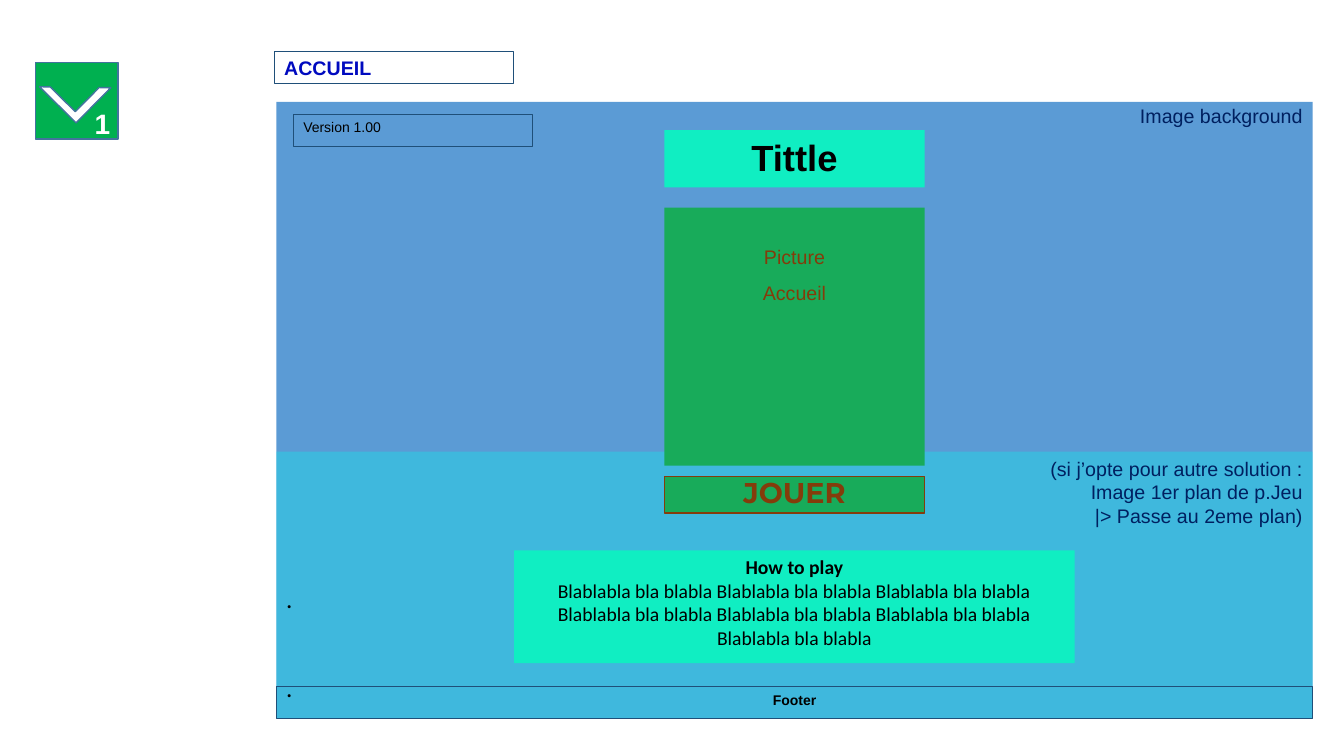
from lxml import etree
from pptx import Presentation
from pptx import util as u
from pptx.dml.color import RGBColor
from pptx.enum import shapes, text
from pptx.oxml.ns import qn

NAVY, BLACK, WHITE = RGBColor(0, 0x20, 0x60), RGBColor(0, 0, 0), RGBColor(255, 255, 255)
BLUE, CYAN = RGBColor(0x5B, 0x9B, 0xD5), RGBColor(0x07, 0xF7, 0xEF)
MINT, GREEN = RGBColor(0x10, 0xEE, 0xC2), RGBColor(0x18, 0xAB, 0x5A)
BROWN, RUST = RGBColor(0x84, 0x3C, 0x0B), RGBColor(0x84, 0x3C, 0x0C)
BORDER, HEADING = RGBColor(0x1F, 0x4F, 0x79), RGBColor(0, 0x0A, 0xBF)
BADGE, BADGE_LINE = RGBColor(0, 0xB0, 0x50), RGBColor(0x43, 0x73, 0x9E)

# Content
PAGE_NAME, VERSION, FOOTER = "ACCUEIL", "Version 1.00", "Footer"
BACKGROUND, TITLE, BUTTON, BADGE_NUMBER = "Image background", "Tittle", "JOUER", "1"
PICTURE = ["Picture", "Accueil"]
FOREGROUND = ["(si j’opte pour autre solution\u00a0:", "Image 1er plan de p.Jeu",
              "|> Passe au 2eme plan)"]
BLABLA = "Blablabla bla blabla"
HOW_TO_PLAY = ["How to play"] + [" ".join([BLABLA] * count) for count in (3, 3, 1)]

# Layout in inches: a board with a centred column and small label boxes
BOARD_LEFT, BOARD_TOP, BOARD_WIDTH, BOARD_BOTTOM = 2.74, 1.01, 10.28, 7.13
FOREGROUND_TOP, COLUMN_WIDTH = 4.48, 2.58
LABEL_WIDTH, LABEL_HEIGHT = 2.37, 0.32
LEFT, CENTER, RIGHT = text.PP_ALIGN.LEFT, text.PP_ALIGN.CENTER, text.PP_ALIGN.RIGHT

presentation = Presentation()
presentation.slide_width, presentation.slide_height = u.Inches(13.33), u.Inches(7.5)
slide = presentation.slides.add_slide(presentation.slide_layouts[6])


def add_box(left, top, width, height, fill=None, line=None, line_width=0.5,
            preset=shapes.MSO_SHAPE.RECTANGLE):
    shape = slide.shapes.add_shape(preset, *map(u.Inches, (left, top, width, height)))
    shape.shadow.inherit = False
    if fill is None:
        shape.fill.background()
    else:
        shape.fill.solid()
        shape.fill.fore_color.rgb = fill
    if line is None:
        shape.line.fill.background()
    else:
        shape.line.color.rgb = line
        shape.line.width = u.Pt(line_width)
    return shape


def add_centred(top, width, height, **style):
    return add_box(BOARD_LEFT + (BOARD_WIDTH - width) / 2, top, width, height, **style)


def write(shape, lines, size, color=BLACK, align=LEFT, bold=False, font="Arial",
          spacing=None, before=0, anchor=text.MSO_ANCHOR.TOP):
    frame = shape.text_frame
    frame.word_wrap = True
    frame.vertical_anchor = anchor
    frame.text = "\n".join(lines)
    for paragraph in frame.paragraphs:
        paragraph.alignment = align
        paragraph.line_spacing = spacing
        paragraph.space_before = u.Pt(before)
        paragraph.font.name, paragraph.font.size = font, u.Pt(size)
        paragraph.font.bold, paragraph.font.color.rgb = bold, color
    return frame


# Background and translucent foreground of the board
background = add_box(BOARD_LEFT, BOARD_TOP, BOARD_WIDTH, BOARD_BOTTOM - BOARD_TOP, BLUE)
write(background, [BACKGROUND], 14, NAVY, RIGHT, spacing=0.9)

foreground = add_box(BOARD_LEFT, FOREGROUND_TOP, BOARD_WIDTH, BOARD_BOTTOM - FOREGROUND_TOP, CYAN)
color_element = foreground.fill._xPr.find(qn("a:solidFill"))[0]
etree.SubElement(color_element, qn("a:alpha"), val="32000")
foreground_text = write(foreground, FOREGROUND, 14, NAVY, RIGHT)
for gap in (40, 42):
    dot = foreground_text.add_paragraph()
    dot.text, dot.alignment, dot.space_before = ".", LEFT, u.Pt(gap)
    dot.font.name, dot.font.size, dot.font.color.rgb = "Calibri", u.Pt(18), BLACK

# Centred column
write(add_centred(1.29, COLUMN_WIDTH, 0.57, fill=MINT), [TITLE], 26, align=CENTER, bold=True)

picture = add_centred(2.06, COLUMN_WIDTH, 2.56, fill=GREEN)
picture_text = write(picture, PICTURE, 14, BROWN, CENTER, spacing=0.9, before=10)
picture_text.margin_top = u.Inches(0.4)
picture_text.paragraphs[0].space_before = u.Pt(0)

help_text = write(add_centred(5.46, 5.56, 1.12, fill=MINT), HOW_TO_PLAY, 14,
                  align=CENTER, font="Calibri")
help_text.paragraphs[0].font.bold = True

button = add_centred(4.73, COLUMN_WIDTH, 0.36, fill=GREEN, line=RUST, line_width=1)
write(button, [BUTTON], 20.4, BROWN, CENTER, True, "Montserrat", 0.87,
      anchor=text.MSO_ANCHOR.MIDDLE)

# Outlined labels
footer = add_box(BOARD_LEFT, BOARD_BOTTOM - LABEL_HEIGHT, BOARD_WIDTH, LABEL_HEIGHT, line=BORDER)
write(footer, [FOOTER], 10, align=CENTER, bold=True)
for left, top, label, size, color, bold in [
    (2.91, 1.13, VERSION, 10, BLACK, False),
    (2.72, 0.51, PAGE_NAME, 14, HEADING, True),
]:
    write(add_box(left, top, LABEL_WIDTH, LABEL_HEIGHT, line=BORDER), [label], size, color, bold=bold)

# Numbered badge with a check mark
add_box(0.35, 0.62, 0.82, 0.76, BADGE, BADGE_LINE, 1)
check = add_box(0.49, 0.62, 0.51, 0.49, WHITE, BADGE_LINE, 1, shapes.MSO_SHAPE.HALF_FRAME)
check.rotation = 224.6
check.adjustments[0], check.adjustments[1] = 0.15, 0.17
number = slide.shapes.add_textbox(*map(u.Inches, (0.84, 1.01, 0.26, 0.43)))
write(number, [BADGE_NUMBER], 20, WHITE, bold=True).word_wrap = False

presentation.save("out.pptx")
